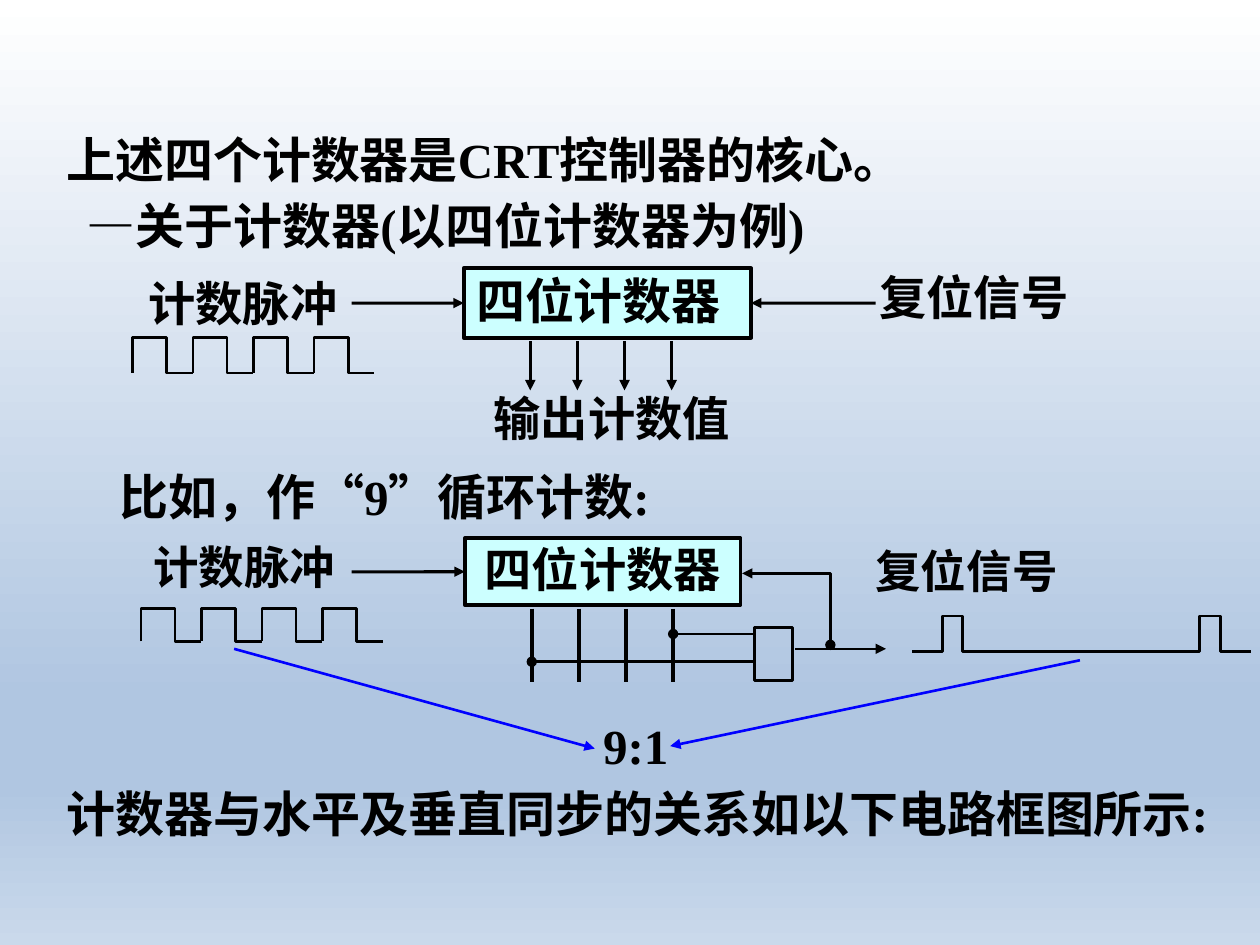
from lxml.etree import SubElement
from pptx import Presentation
from pptx.dml.color import RGBColor
from pptx.enum.lang import MSO_LANGUAGE_ID
from pptx.enum.shapes import MSO_CONNECTOR, MSO_SHAPE
from pptx.enum.text import MSO_AUTO_SIZE, PP_ALIGN
from pptx.oxml.ns import qn
from pptx.util import Cm, Pt

COLORS = {"ink": "000000", "box": "CCFFFF", "ratio": "0000FF"}
BACKGROUND = [(0, "FFFFFF"), (74, "B0C6E1"), (83, "B0C6E1"), (100, "CAD9EB")]
FONT = "Times New Roman"
LEFT, RIGHT = 1, 3  # connection sites of a rectangle
PULSES, PERIOD, HIGH = 4, 1.22, 0.69
BITS, BIT_STEP = 4, 0.95


def rgb(name):
    return RGBColor.from_string(COLORS[name])


def set_background(slide):
    fill = slide.background.fill
    fill.gradient()
    fill.gradient_angle = 270
    stops = slide.background._cSld.find(".//" + qn("a:gsLst"))
    for stop in list(stops):
        stops.remove(stop)
    for percent, color in BACKGROUND:
        stop = SubElement(stops, qn("a:gs"), pos=str(percent * 1000))
        SubElement(stop, qn("a:srgbClr"), val=color)


def write(sp, text, size=28, align=PP_ALIGN.LEFT, spacing=None, wrap=True):
    tf = sp.text_frame
    tf.word_wrap = wrap
    tf.auto_size = MSO_AUTO_SIZE.SHAPE_TO_FIT_TEXT
    p = tf.paragraphs[0]
    p.alignment = align
    p.line_spacing = spacing
    r = p.add_run()
    r.text = text
    r.font.name = FONT
    r.font.size = Pt(size)
    r.font.bold = True
    r.font.color.rgb = rgb("ink")
    r.font.language_id = MSO_LANGUAGE_ID.SIMPLIFIED_CHINESE


def add_label(slide, text, x, y, w, h=1.45, **fmt):
    write(slide.shapes.add_textbox(Cm(x), Cm(y), Cm(w), Cm(h)), text, **fmt)


def add_box(slide, x, y, w, h, width, fill=None):
    sp = slide.shapes.add_shape(MSO_SHAPE.RECTANGLE, Cm(x), Cm(y), Cm(w), Cm(h))
    sp.shadow.inherit = False
    if fill:
        sp.fill.solid()
        sp.fill.fore_color.rgb = rgb(fill)
    else:
        sp.fill.background()
    sp.line.color.rgb = rgb("ink")
    sp.line.width = Pt(width)
    return sp


def style_line(sp, width, color="ink", head=None, tail=None):
    """Set the stroke; head and tail are the end marks at its start and end."""
    sp.line.color.rgb = rgb(color)
    sp.line.width = Pt(width)
    ln = sp.line._get_or_add_ln()
    for tag, mark in (("a:headEnd", head), ("a:tailEnd", tail)):
        if mark:
            SubElement(ln, qn(tag), type=mark)


def add_line(slide, start, end, width=1.5, **style):
    sp = slide.shapes.add_connector(
        MSO_CONNECTOR.STRAIGHT, *(Cm(v) for v in (*start, *end)))
    style_line(sp, width, **style)
    SubElement(sp._element.spPr, qn("a:effectLst"))
    return sp


def add_path(slide, points, width=1.5, **style):
    first, *rest = [(Cm(x), Cm(y)) for x, y in points]
    builder = slide.shapes.build_freeform(*first)
    builder.add_line_segments(rest, close=False)
    sp = builder.convert_to_shape()
    sp.fill.background()
    sp.shadow.inherit = False
    style_line(sp, width, **style)


def add_pulses(slide, x, top, base):
    for i in range(PULSES):
        rise = x + i * PERIOD
        fall = rise + HIGH
        add_path(slide, [(rise, base), (rise, top), (fall, top),
                         (fall, base), (rise + PERIOD, base)])


def add_bit_lines(slide, x, top, bottom, **style):
    for i in range(BITS):
        bit = x + i * BIT_STEP
        add_line(slide, (bit, top), (bit, bottom), width=2, **style)


def add_pulse_input(slide, box, y):
    arrow = add_line(slide, (7.09, y), (9.3, y), width=1.75, tail="triangle")
    arrow.end_connect(box, LEFT)


def add_counter(slide):
    middle = 6.11
    box = add_box(slide, 9.35, 5.41, 5.79, 1.4, 2.25, fill="box")
    write(box, "四位计数器", spacing=0.95)
    add_pulse_input(slide, box, middle)
    add_label(slide, "计数脉冲", 2.74, 5.41, 4.6, 1.4, size=27)
    add_pulses(slide, 2.67, 6.81, 7.52)
    add_bit_lines(slide, 10.69, 6.88, 7.87, tail="triangle")
    reset = add_line(slide, (17.65, middle), (15.14, middle), width=1.75,
                     tail="triangle")
    reset.end_connect(box, RIGHT)
    add_label(slide, "复位信号", 17.48, 5.28, 4.7, 1.4, size=27)
    add_label(slide, "输出计数值", 9.7, 7.72, 5.64, 1.4, size=27)


def add_cycle_counter(slide):
    first_bit = 10.72
    last_bit = first_bit + (BITS - 1) * BIT_STEP
    gate_left = 15.21
    add_label(slide, "复位信号", 17.4, 10.82, 4.7, 1.35, size=26)
    box = add_box(slide, 9.37, 10.85, 5.56, 1.35, 2, fill="box")
    write(box, "四位计数器", size=27, align=PP_ALIGN.CENTER, spacing=0.95)
    add_pulse_input(slide, box, 11.53)
    add_label(slide, "计数脉冲", 2.84, 10.74, 4.6, 1.35, size=26)
    add_bit_lines(slide, first_bit, 12.27, 13.74)
    add_box(slide, gate_left, 12.65, 0.76, 1.07, 1.75)
    for bit, y in ((last_bit, 12.78), (first_bit, 13.34)):
        add_line(slide, (bit, y), (gate_left, y), head="oval")
    add_line(slide, (16.03, 13.08), (17.86, 13.08), tail="triangle")
    add_path(slide, [(16.74, 13), (16.74, 11.56), (14.96, 11.56)], width=1.75,
             head="oval", tail="triangle")
    add_pulses(slide, 2.84, 12.27, 12.93)


def add_reset_wave(slide):
    top, base = 12.42, 13.13
    points = [(18.39, base)]
    for rise, fall in ((19, 19.41), (24.18, 24.61)):
        points += [(rise, base), (rise, top), (fall, top), (fall, base)]
    add_path(slide, points + [(25.22, base)])


def add_ratio(slide):
    for start, end in (((4.72, 13.08), (11.99, 15.09)),
                       ((21.77, 13.31), (13.51, 15.04))):
        add_line(slide, start, end, color="ratio", tail="triangle")
    add_label(slide, "9:1", 11.91, 14.3, 1.83, wrap=False)


def main():
    prs = Presentation()
    prs.slide_width, prs.slide_height = Cm(25.4), Cm(19.05)
    slide = prs.slides.add_slide(prs.slide_layouts[6])
    set_background(slide)
    add_label(slide, "上述四个计数器是CRT控制器的核心。", 1.09, 2.49, 18.87)
    add_label(slide, "计数器与水平及垂直同步的关系如以下电路框图所示:",
              1.09, 15.67, 24.05)
    add_label(slide, "—关于计数器(以四位计数器为例)", 1.5, 3.81, 17.91)
    add_counter(slide)
    add_label(slide, "比如，作“9”循环计数:", 2.16, 9.27, 12.32)
    add_cycle_counter(slide)
    add_reset_wave(slide)
    add_ratio(slide)
    prs.save("out.pptx")


if __name__ == "__main__":
    main()
